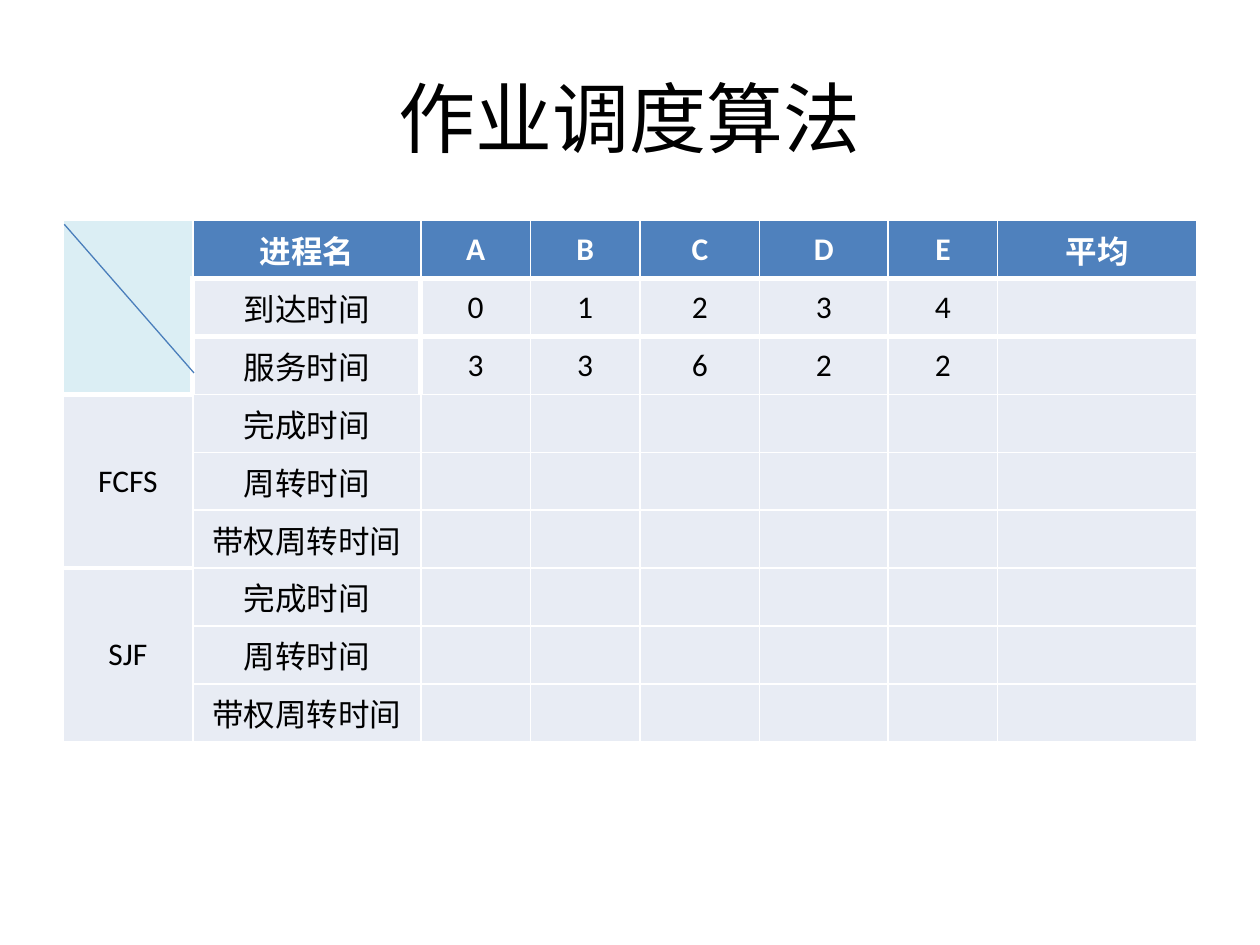
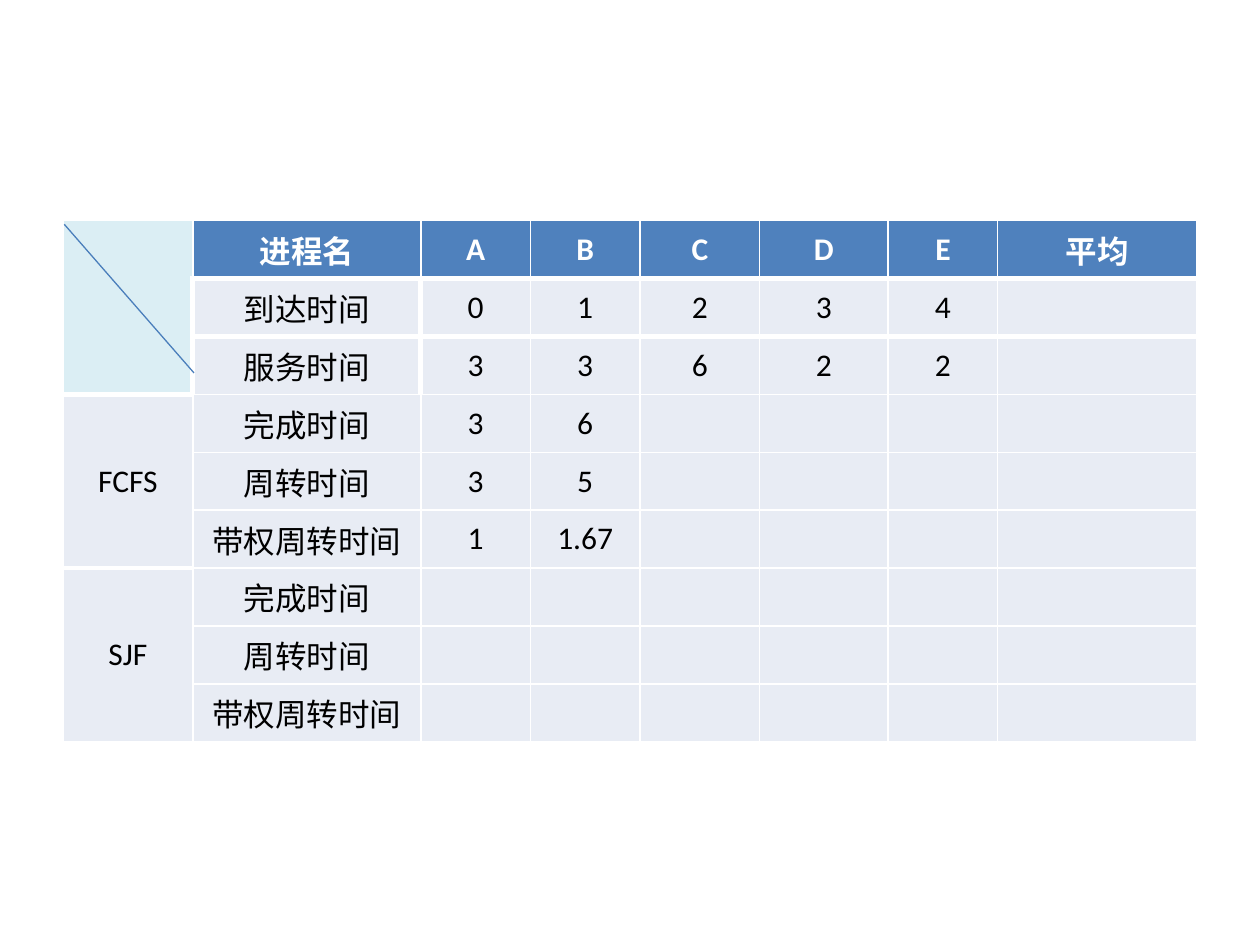
from dataclasses import dataclass

from lxml import etree
from pptx import Presentation
from pptx import util as u
from pptx.dml.color import RGBColor
from pptx.enum import shapes, text
from pptx.oxml import ns

PX = 9144  # EMU in one px, 100 px to the inch


@dataclass(frozen=True)
class Theme:
    ink: str = "000000"
    white: str = "FFFFFF"
    header: str = "4F81BD"
    body: str = "E8ECF4"
    corner: str = "DBEEF4"
    diagonal: str = "4A7EBB"
    latin: str = "Calibri"
    cjk: str = "Roboto"
    title_size: int = 44
    cell_size: int = 18
    thin: float = 1
    thick: float = 3
    hairline: float = 0.75


class Deck:
    TITLE_ONLY, BLANK = 5, 6

    def __init__(self, theme):
        self.theme = theme
        self.prs = Presentation()
        self.prs.slide_width, self.prs.slide_height = self.px(1000, 750)
        self.s = None

    @staticmethod
    def px(*lengths):
        return [u.Emu(n * PX) for n in lengths]

    def slide(self, title=None):
        layout = self.TITLE_ONLY if title else self.BLANK
        self.s = self.prs.slides.add_slide(self.prs.slide_layouts[layout])
        if title:
            self.title(title)

    def title(self, words):
        sp = self.s.shapes.title
        sp.left, sp.top, sp.width, sp.height = self.px(50, 30, 900, 125)
        tf = sp.text_frame
        tf.text = words
        self.inset(tf)
        tf.vertical_anchor = text.MSO_ANCHOR.MIDDLE
        self.format(tf.paragraphs[0], self.theme.title_size, self.theme.ink)

    def inset(self, box, top=5):
        box.margin_top, box.margin_bottom = self.px(top, 5)
        box.margin_left, box.margin_right = self.px(5, 5)

    def format(self, p, size, color, bold=False):
        p.alignment = text.PP_ALIGN.CENTER
        for r in p.runs:
            font = r.font
            font.size, font.bold = u.Pt(size), bold
            font.color.rgb = RGBColor.from_string(color)
            font.name = self.theme.latin if r.text.isascii() else self.theme.cjk
            ea = etree.SubElement(r._r.get_or_add_rPr(), ns.qn("a:ea"))
            ea.set("typeface", font.name)

    def cell(self, cell, words, fill, color, bold=False):
        cell.text = words
        # Chinese glyphs sit high on their line, so they get more room above
        self.inset(cell, 5 if words.isascii() else 10)
        cell.vertical_anchor = text.MSO_ANCHOR.MIDDLE
        cell.fill.solid()
        cell.fill.fore_color.rgb = RGBColor.from_string(fill)
        self.format(cell.text_frame.paragraphs[0], self.theme.cell_size, color, bold)

    def borders(self, cell, thick_sides):
        tcPr = cell._tc.get_or_add_tcPr()
        for i, side in enumerate("LRTB"):
            width = self.theme.thick if side in thick_sides else self.theme.thin
            ln = etree.Element(ns.qn(f"a:ln{side}"), w=str(u.Pt(width)))
            fill = etree.SubElement(ln, ns.qn("a:solidFill"))
            etree.SubElement(fill, ns.qn("a:srgbClr"), val=self.theme.white)
            tcPr.insert(i, ln)

    def table(self, left, top, widths, row_height, rows):
        box = self.px(left, top, sum(widths), row_height * len(rows))
        table = self.s.shapes.add_table(len(rows), len(widths), *box).table
        table.horz_banding = False
        for column, width in zip(table.columns, self.px(*widths)):
            column.width = width
        for i, row in enumerate(rows):
            for j, words in enumerate(row):
                header = i == 0
                fill = self.theme.header if header else self.theme.body
                color = self.theme.white if header else self.theme.ink
                self.cell(table.cell(i, j), words, fill, color, header)
        return table

    def line(self, x1, y1, x2, y2):
        sp = self.s.shapes.add_connector(
            shapes.MSO_CONNECTOR.STRAIGHT, *self.px(x1, y1, x2, y2))
        sp.line.color.rgb = RGBColor.from_string(self.theme.diagonal)
        sp.line.width = u.Pt(self.theme.hairline)
        etree.SubElement(sp._element.spPr, ns.qn("a:effectLst"))


# Schedule table shared by both slides
WIDTHS = [103, 181, 87, 87, 95, 102, 87, 158]
ROW_HEIGHT = 46
GIVEN = [
    ["", "进程名", *"ABCDE", "平均"],
    ["", "到达时间", *"01234", ""],
    ["", "服务时间", *"33622", ""],
]
MEASURES = ["完成时间", "周转时间", "带权周转时间"]
ALGORITHMS = ["FCFS", "SJF"]
GROUP = len(MEASURES)


def schedule(deck, results):
    """results maps an algorithm to its known values, one list per measure."""
    rows = list(GIVEN)
    for name in ALGORITHMS:
        known = results.get(name, [[]] * GROUP)
        for k, (measure, values) in enumerate(zip(MEASURES, known)):
            row = [name if k == 0 else "", measure, *values]
            rows.append(row + [""] * (len(WIDTHS) - len(row)))
    table = deck.table(50, 175, WIDTHS, ROW_HEIGHT, rows)

    # Corner and algorithm names each span one group of rows
    for top in range(0, len(rows), GROUP):
        table.cell(top, 0).merge(table.cell(top + GROUP - 1, 0))
    deck.cell(table.cell(0, 0), "", deck.theme.corner, deck.theme.ink)

    # Thick rules around the given times and between the groups
    side_rules = {1: "LR", 2: "L"}
    for j in range(len(WIDTHS)):
        deck.borders(table.cell(0, j), "B")
        if j > 0:
            sides = side_rules.get(j, "")
            deck.borders(table.cell(1, j), sides + "TB")
            deck.borders(table.cell(2, j), sides + "T")
    deck.borders(table.cell(GROUP, 0), "TB")
    deck.borders(table.cell(2 * GROUP, 0), "T")

    deck.line(51, 178, 154, 296)


def main():
    deck = Deck(Theme())

    # Blank exercise
    deck.slide("作业调度算法")
    schedule(deck, {})

    # First two FCFS processes worked out
    deck.slide()
    schedule(deck, {"FCFS": [["3", "6"], ["3", "5"], ["1", "1.67"]]})

    deck.prs.save("out.pptx")


if __name__ == "__main__":
    main()
